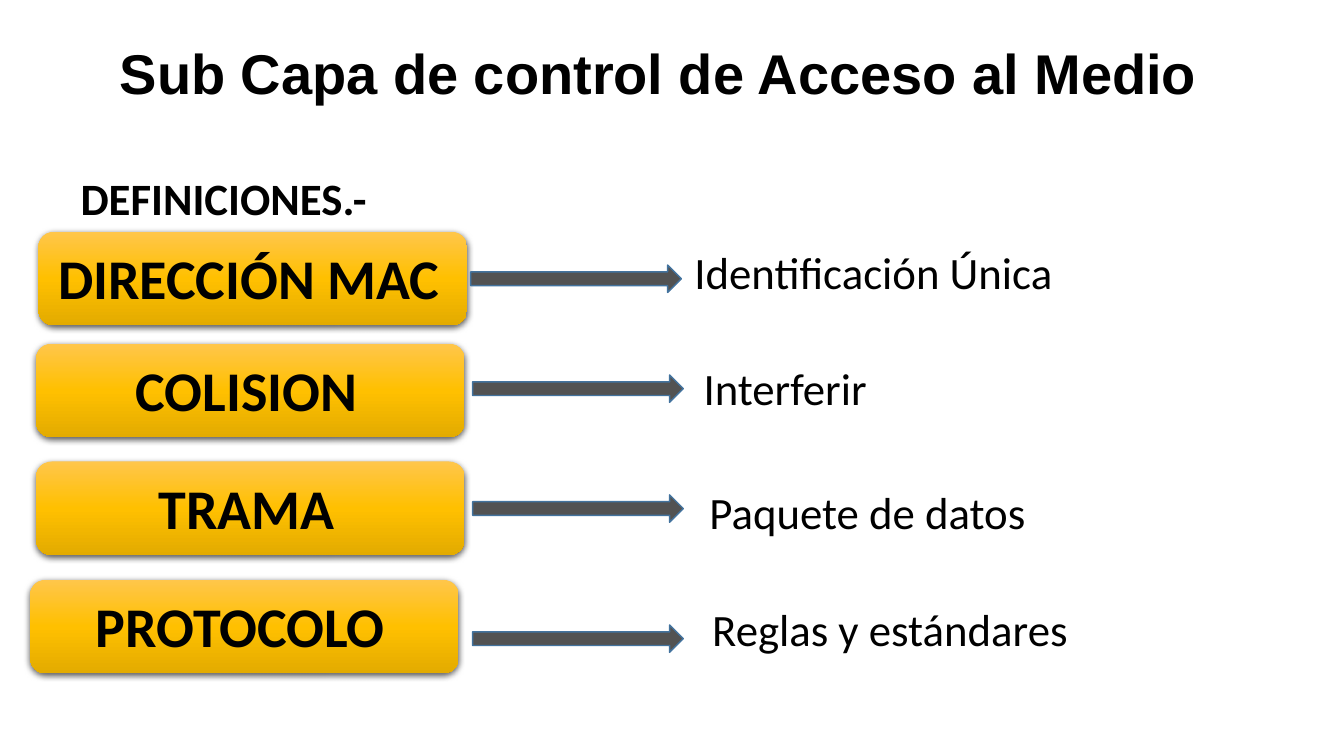
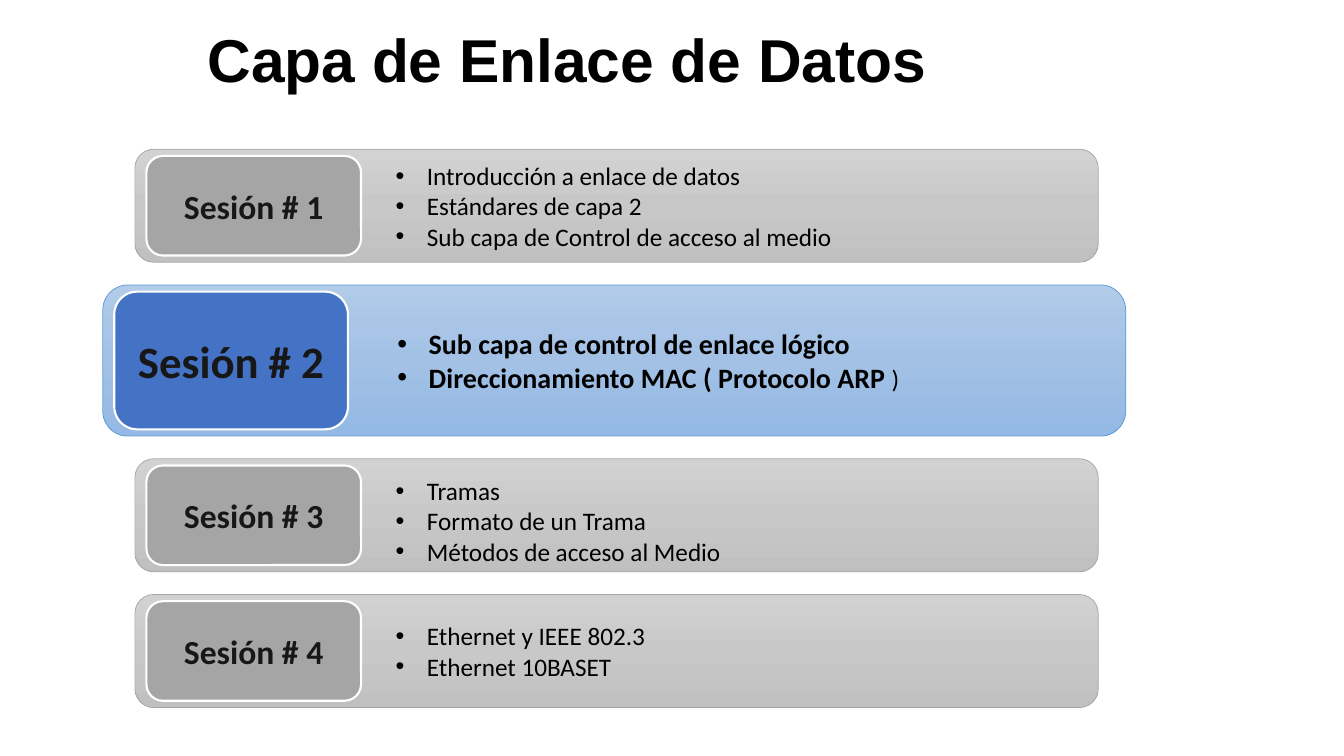
from copy import deepcopy

from lxml.etree import SubElement
from pptx import Presentation
from pptx.dml.color import RGBColor
from pptx.enum.shapes import MSO_SHAPE as SHAPE
from pptx.enum.text import MSO_ANCHOR as ANCHOR, PP_ALIGN as ALIGN
from pptx.oxml.ns import qn
from pptx.util import Cm, Pt

COLORS = {
    "text": "000000", "label_text": "181717", "white": "FFFFFF",
    "arrow": "525252", "arrow_line": "43739E",
    "gray": "A5A5A5", "blue": "4472C4", "blue_line": "5B9BD5",
}
GRADIENTS = {
    "gold": ("FFC64B", "FFC000", "E3AB00"),
    "gray": ("D2D2D2", "C8C8C8", "C0C0C0"),
    "blue": ("B1CBE9", "A3C1E5", "93B9E4"),
}
TITLE = {"name": "Arial", "bold": True}
BODY = {"name": "Calibri", "size": 32}
TERM = {"name": "Calibri", "size": 40, "bold": True}

# term, (left, top) of its box, arrow and meaning, in cm
DEFINITIONS = [
    ("DIRECCIÓN MAC", (0.97, 5.84), (11.86, 6.68), "Identificación Única", (17.25, 6.05)),
    ("COLISION", (0.91, 8.66), (11.91, 9.45), "Interferir", (17.48, 8.97)),
    ("TRAMA", (0.91, 11.63), (11.91, 12.47), "Paquete de datos", (17.63, 12.09)),
    ("PROTOCOLO", (0.76, 14.61), (11.91, 15.75), "Reglas y estándares", (17.7, 15.04)),
]

NORMAL = {
    "left": 3.4, "width": 24.28, "height": 2.85, "label_width": 5.41,
    "gradient": "gray", "line": "gray", "label_fill": "gray",
    "label_font": {"name": "Calibri", "size": 24, "bold": True},
    "font": {"name": "Calibri", "size": 18},
}
CURRENT = {
    "left": 2.59, "width": 25.78, "height": 3.81, "label_width": 5.89,
    "gradient": "blue", "line": "blue_line", "label_fill": "blue",
    "label_font": {"name": "Calibri", "size": 32, "bold": True},
    "font": {"name": "Calibri", "size": 20, "bold": True},
}
PLAIN_END = {"size": 18, "bold": False}
# label, style, space above the topics in cm, topics as lists of (text, format)
SESSIONS = [
    ("Sesión # 1", NORMAL, 0, [
        [("Introducción a enlace de datos", {})],
        [("Estándares de capa 2", {})],
        [("Sub capa de Control de acceso al medio", {})]]),
    ("Sesión # 2", CURRENT, 0, [
        [("Sub capa de control de enlace lógico", {})],
        [("Direccionamiento MAC ( Protocolo ARP ", {}), (")", PLAIN_END)]]),
    ("Sesión # 3", NORMAL, 0.28, [
        [("Tramas", {})],
        [("Formato de un Trama", {})],
        [("Métodos de acceso al Medio", {})]]),
    ("Sesión # 4", NORMAL, 0, [
        [("Ethernet y IEEE 802.3", {})],
        [("Ethernet 10BASET", {})]]),
]
CARD_TOP, CARD_GAP = 3.76, 0.57
LABEL_LEFT, LABEL_TOP = 0.29, 0.17
TOPICS_LEFT, TOPIC_INDENT = 9.83, 0.79


def rgb(value):
    return RGBColor.from_string(value)


def add_run(p, text, color="text", **fmt):
    r = p.add_run()
    r.text = text
    r.font.color.rgb = rgb(COLORS[color])
    for key, value in fmt.items():
        setattr(r.font, key, Pt(value) if key == "size" else value)


def set_frame(tf, **fmt):
    tf.word_wrap = True
    for key, value in fmt.items():
        setattr(tf, key, value)


def add_text(s, text, at, fmt, anchor=ANCHOR.TOP, spacing=1.0):
    tf = s.shapes.add_textbox(*map(Cm, at)).text_frame
    set_frame(tf, vertical_anchor=anchor)
    tf.paragraphs[0].line_spacing = spacing
    add_run(tf.paragraphs[0], text, **fmt)


def add_title(s, text, at, size, spacing):
    add_text(s, text, at, {**TITLE, "size": size}, ANCHOR.MIDDLE, spacing)


def add_box(s, kind, at, fill=None, gradient=None, line=None, weight=1):
    sp = s.shapes.add_shape(kind, *map(Cm, at))
    sp.shadow.inherit = False
    if gradient:
        sp.fill.gradient()
        sp.fill.gradient_angle = 270
        stop = sp._element.spPr.findall(".//" + qn("a:gs"))[-1]
        stop.addnext(deepcopy(stop))
        for i, (gs, color) in enumerate(zip(sp.fill.gradient_stops, GRADIENTS[gradient])):
            gs.position = i / 2
            gs.color.rgb = rgb(color)
    else:
        sp.fill.solid()
        sp.fill.fore_color.rgb = rgb(COLORS[fill])
    if line:
        sp.line.color.rgb = rgb(COLORS[line])
        sp.line.width = Pt(weight)
    else:
        sp.line.fill.background()
    return sp


def add_drop_shadow(sp):
    effects = sp._element.spPr.find(qn("a:effectLst"))
    shadow = SubElement(effects, qn("a:outerShdw"), blurRad=str(Pt(4.5)),
                        dist=str(Pt(1.5)), dir="5400000", algn="ctr", rotWithShape="0")
    color = SubElement(shadow, qn("a:srgbClr"), val="000000")
    SubElement(color, qn("a:alpha"), val="63000")


def add_label(sp, text, **fmt):
    p = sp.text_frame.paragraphs[0]
    p.alignment = ALIGN.CENTER
    add_run(p, text, **fmt)


def add_topics(tf, topics, font):
    for i, runs in enumerate(topics):
        p = tf.add_paragraph() if i else tf.paragraphs[0]
        p.alignment = ALIGN.LEFT
        pPr = p._p.get_or_add_pPr()
        pPr.set("marL", str(Cm(TOPIC_INDENT)))
        pPr.set("indent", str(-Cm(TOPIC_INDENT)))
        SubElement(pPr, qn("a:buFont"), typeface="Arial")
        SubElement(pPr, qn("a:buChar"), char="•")
        for text, fmt in runs:
            add_run(p, text, **{**font, **fmt})


def build_definitions(s):
    add_title(s, "Sub Capa de control de Acceso al Medio", (2.77, 0.99, 28.78, 1.98), 40, 0.8)
    add_text(s, "DEFINICIONES.-", (1.78, 4.17, 13.36, 1.88), {**BODY, "bold": True})
    for term, box_at, arrow_at, meaning, meaning_at in DEFINITIONS:
        box = add_box(s, SHAPE.ROUNDED_RECTANGLE, (*box_at, 10.8, 2.36), gradient="gold")
        add_drop_shadow(box)
        set_frame(box.text_frame, vertical_anchor=ANCHOR.MIDDLE, margin_left=Cm(0.25),
                  margin_right=Cm(0.45), margin_top=0, margin_bottom=Cm(0.08))
        add_label(box, term, **TERM)
        add_box(s, SHAPE.RIGHT_ARROW, (*arrow_at, 5.31, 0.69), "arrow", line="arrow_line")
        add_text(s, meaning, (*meaning_at, 13, 1.8), BODY)


def build_sessions(s):
    add_title(s, "Capa de Enlace de Datos", (4.98, 1.17, 21.06, 0.81), 43.2, 0.9)
    top = CARD_TOP
    for name, style, space, topics in SESSIONS:
        left, height = style["left"], style["height"]
        card = add_box(s, SHAPE.ROUNDED_RECTANGLE, (left, top, style["width"], height),
                       gradient=style["gradient"], line=style["line"], weight=0.5)
        set_frame(card.text_frame, vertical_anchor=ANCHOR.MIDDLE, margin_top=Cm(space),
                  margin_bottom=0, margin_left=Cm(TOPICS_LEFT - left))
        add_topics(card.text_frame, topics, style["font"])
        label = add_box(s, SHAPE.ROUNDED_RECTANGLE,
                        (left + LABEL_LEFT, top + LABEL_TOP,
                         style["label_width"], height - 2 * LABEL_TOP),
                        style["label_fill"], line="white", weight=1.5)
        set_frame(label.text_frame, vertical_anchor=ANCHOR.MIDDLE, margin_left=0, margin_right=0)
        add_label(label, name, color="label_text", **style["label_font"])
        top += height + CARD_GAP


def main():
    prs = Presentation()
    prs.slide_width, prs.slide_height = Cm(33.87), Cm(19.05)
    for build in (build_definitions, build_sessions):
        build(prs.slides.add_slide(prs.slide_layouts[6]))
    prs.save("out.pptx")


if __name__ == "__main__":
    main()
